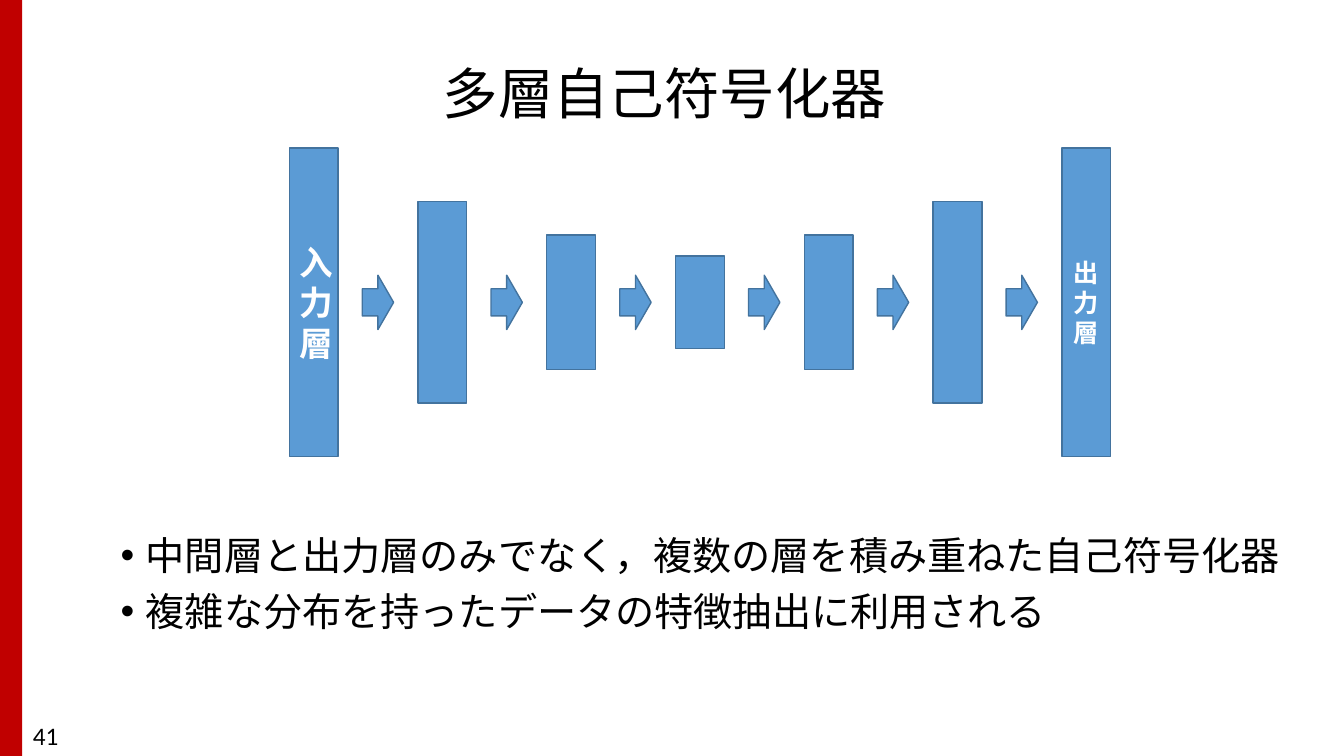
"""Build the slide on multilayer autoencoders."""
from lxml import etree
from pptx import Presentation
from pptx import util as u
from pptx.dml.color import RGBColor
from pptx.enum import shapes, text
from pptx.oxml import ns

BLACK = RGBColor(0x00, 0x00, 0x00)
WHITE = RGBColor(0xFF, 0xFF, 0xFF)
RED = RGBColor(0xC0, 0x00, 0x00)
BLUE = RGBColor(0x5B, 0x9B, 0xD5)
DARK_BLUE = RGBColor(0x43, 0x73, 0x9E)
JAPANESE = "Noto Sans CJK JP"
LATIN = "Calibri"

SLIDE_WIDTH, SLIDE_HEIGHT = u.Cm(33.87), u.Cm(19.05)
LAYER_LEFT, LAYER_WIDTH, LAYER_PITCH = 7.29, 1.23, 3.245
ARROW_OFFSET, ARROW_WIDTH, ARROW_HEIGHT = 1.84, 0.79, 1.37
NETWORK_MIDDLE = 7.62
LAYERS = [
    (7.77, "入力層", 24),
    (5.08, "", 18),
    (3.39, "", 18),
    (2.33, "", 18),
    (3.39, "", 18),
    (5.08, "", 18),
    (7.77, "出力層", 18),
]
POINTS = [
    "中間層と出力層のみでなく，複数の層を積み重ねた自己符号化器",
    "複雑な分布を持ったデータの特徴抽出に利用される",
]


def apply(target, values):
    for name, value in values.items():
        setattr(target, name, value)


def write(para, words, color=BLACK, **font):
    span = para.add_run()
    span.text = words
    apply(span.font, {"name": JAPANESE, "bold": False, **font})
    span.font.color.rgb = color
    east_asian = etree.SubElement(span.font._element, ns.qn("a:ea"))
    east_asian.set("typeface", span.font.name)


def add_bullet(para):
    properties = para._p.get_or_add_pPr()
    properties.set("marL", str(u.Cm(0.635)))
    properties.set("indent", str(u.Cm(-0.635)))
    bullet_font = etree.SubElement(properties, ns.qn("a:buFont"))
    bullet_font.set("typeface", "Arial")
    etree.SubElement(properties, ns.qn("a:buChar")).set("char", "•")


def add_block(page, kind, left, top, width, height, fill=BLUE, line=DARK_BLUE):
    block = page.shapes.add_shape(kind, left, top, width, height)
    block.shadow.inherit = False
    block.fill.solid()
    block.fill.fore_color.rgb = fill
    if line is None:
        block.line.fill.background()
    else:
        block.line.color.rgb = line
        block.line.width = u.Pt(1)
    return block


def add_centred(page, kind, left, width, height):
    top = NETWORK_MIDDLE - height / 2
    return add_block(page, kind, u.Cm(left), u.Cm(top), u.Cm(width), u.Cm(height))


def add_title(page, words):
    title = page.shapes.title
    apply(title, {"left": u.Cm(10.9), "top": u.Cm(1.42),
                  "width": u.Cm(12.9), "height": u.Cm(2.03)})
    apply(title.text_frame, {"auto_size": text.MSO_AUTO_SIZE.NONE, "word_wrap": True,
                             "vertical_anchor": text.MSO_ANCHOR.MIDDLE})
    para = title.text_frame.paragraphs[0]
    apply(para, {"alignment": text.PP_ALIGN.LEFT, "line_spacing": 0.9})
    write(para, words, size=u.Pt(39.6))


def add_network(page):
    for index, (height, label, size) in enumerate(LAYERS):
        left = LAYER_LEFT + index * LAYER_PITCH
        layer = add_centred(page, shapes.MSO_SHAPE.RECTANGLE, left, LAYER_WIDTH, height)
        if label:
            apply(layer.text_frame, {"word_wrap": True,
                                     "vertical_anchor": text.MSO_ANCHOR.MIDDLE})
            para = layer.text_frame.paragraphs[0]
            para.alignment = text.PP_ALIGN.CENTER
            write(para, label, WHITE, size=u.Pt(size), bold=True)
        if index < len(LAYERS) - 1:
            add_centred(page, shapes.MSO_SHAPE.RIGHT_ARROW,
                        left + ARROW_OFFSET, ARROW_WIDTH, ARROW_HEIGHT)


def add_text_box(page, left, top, width, height):
    box = page.shapes.add_textbox(u.Cm(left), u.Cm(top), u.Cm(width), u.Cm(height))
    box.text_frame.word_wrap = True
    return box.text_frame


def add_points(page, points):
    frame = add_text_box(page, 2.79, 13.39, 30.02, 5.23)
    for index, words in enumerate(points):
        para = frame.add_paragraph() if index else frame.paragraphs[0]
        add_bullet(para)
        apply(para, {"line_spacing": 0.9, "space_before": u.Pt(10 if index else 0)})
        write(para, words, size=u.Pt(28))


def add_page_number(page, number):
    frame = add_text_box(page, 0.58, 18.03, 7.62, 1.02)
    write(frame.paragraphs[0], number, name=LATIN, size=u.Pt(18))


def main():
    deck = Presentation()
    apply(deck, {"slide_width": SLIDE_WIDTH, "slide_height": SLIDE_HEIGHT})
    page = deck.slides.add_slide(deck.slide_layouts.get_by_name("Title Only"))
    add_block(page, shapes.MSO_SHAPE.RECTANGLE, 0, 0, u.Cm(0.56), SLIDE_HEIGHT, RED, None)
    add_title(page, "多層自己符号化器")
    add_points(page, POINTS)
    add_page_number(page, "41")
    add_network(page)
    deck.save("out.pptx")


if __name__ == "__main__":
    main()
